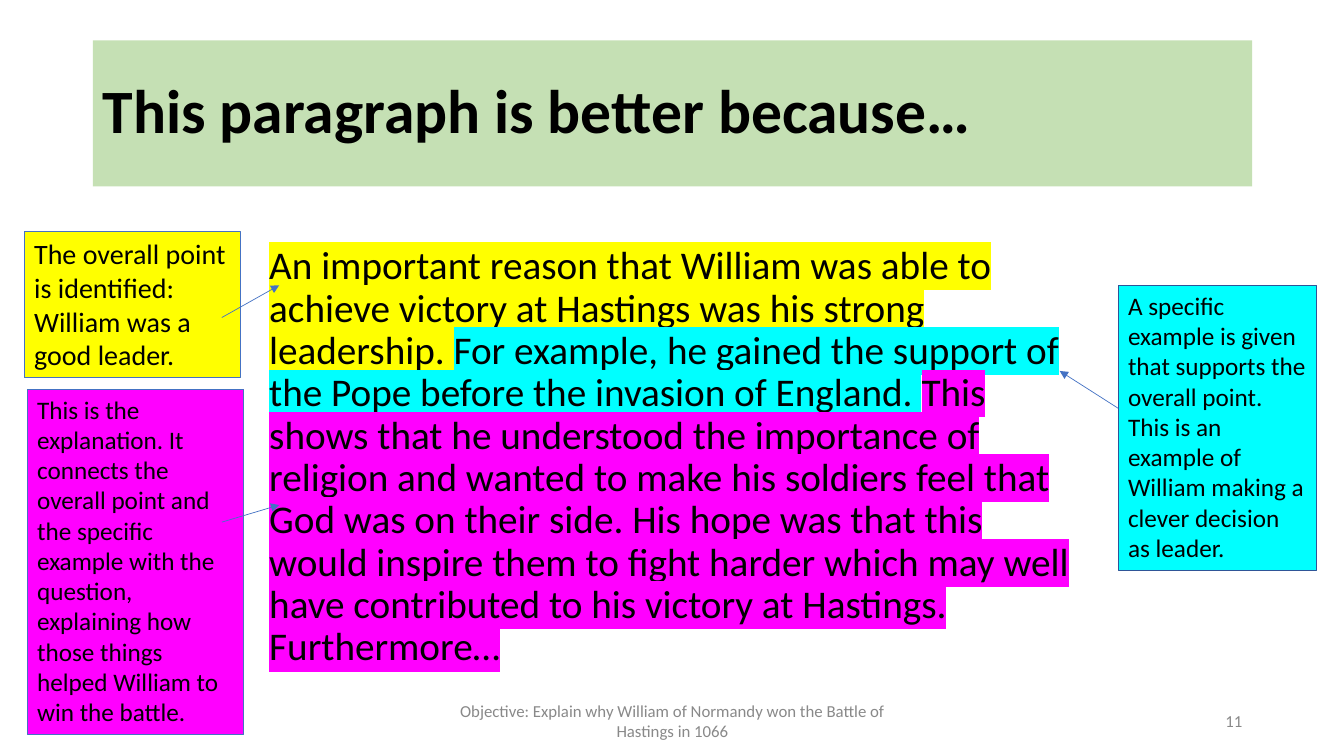
from lxml import etree
from pptx import Presentation
from pptx.dml.color import RGBColor
from pptx.enum.shapes import MSO_CONNECTOR, MSO_SHAPE
from pptx.enum.text import MSO_ANCHOR as ANCHOR, MSO_AUTO_SIZE as AUTOSIZE, PP_ALIGN as ALIGN
from pptx.oxml.ns import qn
from pptx.util import Inches, Pt

YELLOW, CYAN, MAGENTA = "FFFF00", "00FFFF", "FF00FF"
BLUE, DARK_BLUE, GREY = "4472C4", "2F5597", "898989"


def color(hex_value):
    return RGBColor.from_string(hex_value)


def write(shape, runs, frame_format, paragraph_format, size, text_color="000000", bold=False):
    """Fill a shape with one paragraph of (text, highlight) runs."""
    frame = shape.text_frame
    paragraph = frame.paragraphs[0]
    for target, values in ((frame, frame_format), (paragraph, paragraph_format)):
        for name, value in values.items():
            setattr(target, name, value)
    for text, highlight in runs:
        run = paragraph.add_run()
        run.text = text
        run.font.color.rgb = color(text_color)
        if highlight:
            marker = etree.SubElement(run.font._element, qn("a:highlight"))
            etree.SubElement(marker, qn("a:srgbClr"), val=highlight)
        for name, value in {"name": "Calibri", "size": Pt(size), "bold": bold}.items():
            setattr(run.font, name, value)
    return paragraph


presentation = Presentation()
presentation.slide_width, presentation.slide_height = Inches(13.33), Inches(7.5)
slide = presentation.slides.add_slide(presentation.slide_layouts[1])
title, body = slide.placeholders

# Title and body placeholders
for placeholder, place in ((title, (0.92, 0.4, 11.5, 1.45)), (body, (2.57, 2.39, 8.22, 4.76))):
    placeholder.left, placeholder.top, placeholder.width, placeholder.height = map(Inches, place)

title.fill.solid()
title.fill.fore_color.rgb = color("C5E0B4")
write(title, [("This paragraph is better because…", None)],
      {"vertical_anchor": ANCHOR.MIDDLE, "auto_size": AUTOSIZE.NONE, "word_wrap": True},
      {"alignment": ALIGN.LEFT, "line_spacing": 0.9}, 44, bold=True)

model_answer = [
    ("An important reason that William was able to achieve victory at Hastings was his "
     "strong leadership. ", YELLOW),
    ("For example, he gained the support of the Pope before the invasion of England. ", CYAN),
    ("This shows that he understood the importance of religion and wanted to make his "
     "soldiers feel that God was on their side. His hope was that this would inspire them "
     "to fight harder which may well have contributed to his victory at Hastings. "
     "Furthermore…", MAGENTA),
]
answer = write(body, model_answer,
               {"vertical_anchor": ANCHOR.TOP, "auto_size": AUTOSIZE.NONE, "word_wrap": True},
               {"alignment": ALIGN.LEFT, "line_spacing": 0.9, "space_before": Pt(0)}, 28)
answer_properties = answer._p.get_or_add_pPr()
answer_properties.set("marL", "0")
answer_properties.set("indent", "0")
etree.SubElement(answer_properties, qn("a:buNone"))

# Footer and slide number
footers = [
    ("Objective: Explain why William of Normandy won the Battle of Hastings in 1066",
     4.42, 4.5, ALIGN.CENTER),
    ("11", 9.42, 3, ALIGN.RIGHT),
]
for text, left, width, alignment in footers:
    footer = slide.shapes.add_textbox(Inches(left), Inches(6.95), Inches(width), Inches(0.4))
    write(footer, [(text, None)], {"vertical_anchor": ANCHOR.MIDDLE, "word_wrap": True},
          {"alignment": alignment}, 12, GREY)

# Notes, each with an arrow to the part of the answer it explains
notes = [
    ("The overall point is identified: William was a good leader.",
     (0.24, 2.3, 2.15, 1.45), YELLOW, BLUE, None, 20, (2.2, 3.15, 2.77, 2.83)),
    ("A specific example is given that supports the overall point. This is an example of "
     "William making a clever decision as leader.",
     (11.09, 2.83, 1.97, 2.83), CYAN, DARK_BLUE, CYAN, 18, (11.09, 4.05, 10.51, 3.68)),
    ("This is the explanation. It connects the overall point and the specific example with "
     "the question, explaining how those things helped William to win the battle.",
     (0.27, 3.86, 2.15, 3.43), MAGENTA, BLUE, None, 18, (2.2, 5.18, 2.77, 5.01)),
]
for text, place, fill, outline, highlight, size, arrow_ends in notes:
    note = slide.shapes.add_shape(MSO_SHAPE.RECTANGLE, *map(Inches, place))
    note.shadow.inherit = False
    note.fill.solid()
    note.fill.fore_color.rgb = color(fill)
    note.line.color.rgb = color(outline)
    note.line.width = Pt(0.75)
    write(note, [(text, highlight)],
          {"vertical_anchor": ANCHOR.TOP, "auto_size": AUTOSIZE.SHAPE_TO_FIT_TEXT,
           "word_wrap": True}, {"alignment": ALIGN.LEFT}, size)

    arrow = slide.shapes.add_connector(MSO_CONNECTOR.STRAIGHT, *map(Inches, arrow_ends))
    arrow.line.color.rgb = color(BLUE)
    arrow.line.width = Pt(0.5)
    etree.SubElement(arrow.line._get_or_add_ln(), qn("a:tailEnd"), type="triangle")
    etree.SubElement(arrow._element.spPr, qn("a:effectLst"))

presentation.save("out.pptx")
